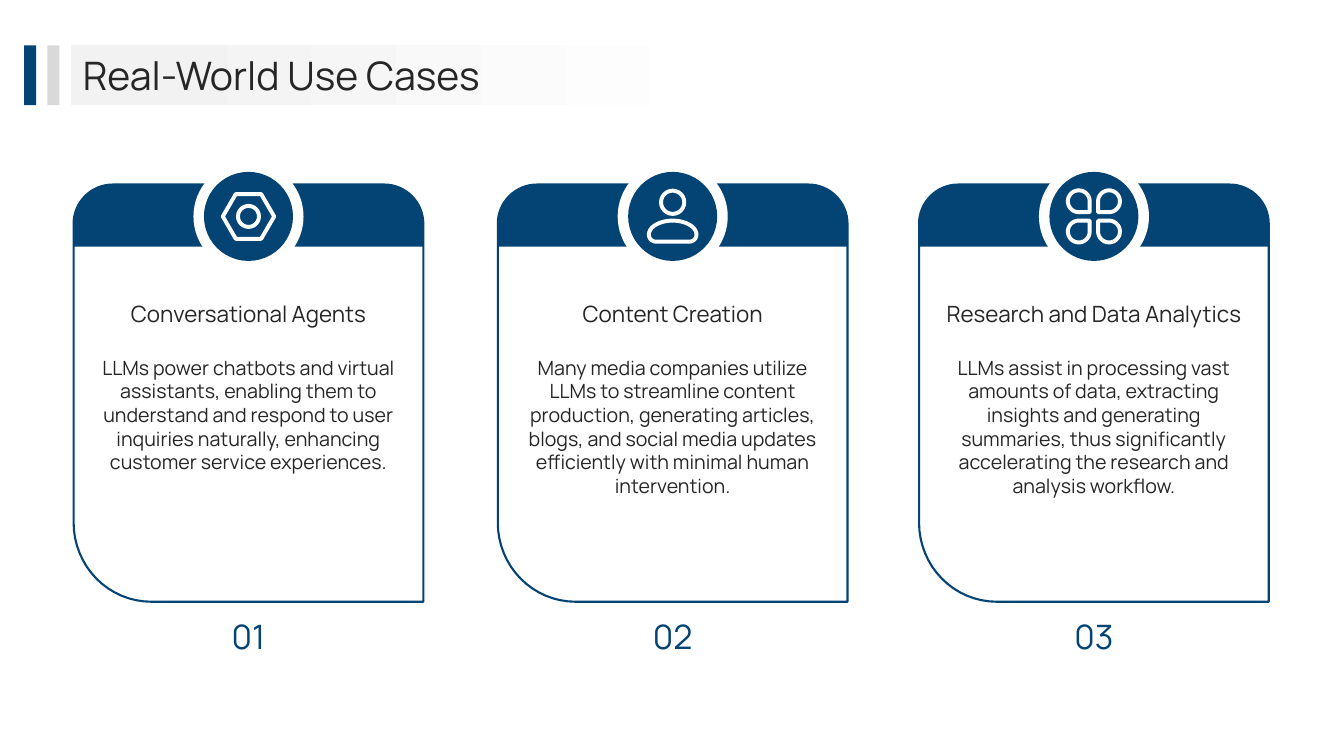
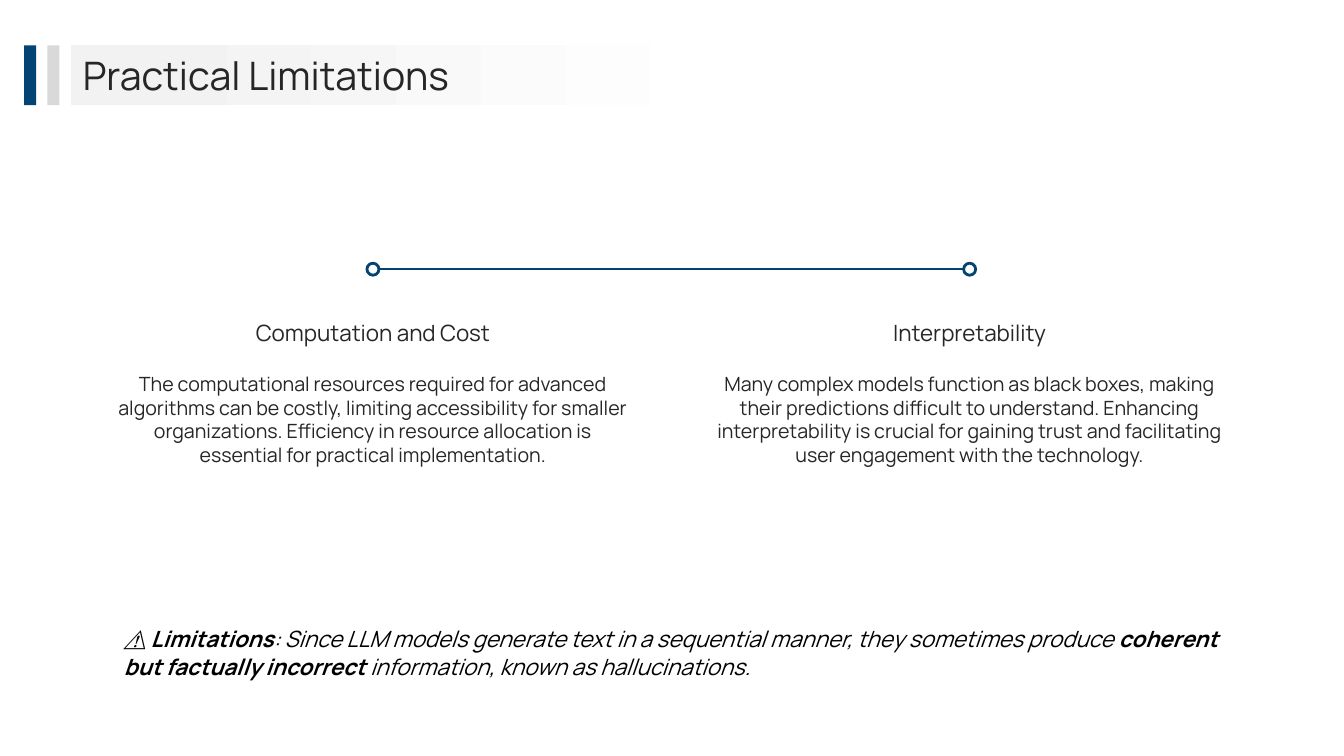
from math import cos, radians, sin

from lxml.etree import SubElement
from pptx import Presentation
from pptx.dml.color import RGBColor
from pptx.enum.shapes import MSO_CONNECTOR, MSO_SHAPE
from pptx.enum.text import MSO_ANCHOR, MSO_AUTO_SIZE, PP_ALIGN
from pptx.oxml.ns import qn
from pptx.util import Pt


def color(value):
    return RGBColor.from_string(value)


def write(paragraph, text, size=14, ink="262626", font="Manrope", bold=False, italic=False):
    span = paragraph.add_run()
    span.text = text
    span.font.name = font
    span.font.size = Pt(size)
    span.font.bold = bold
    span.font.italic = italic
    span.font.color.rgb = color(ink)


def corner_points(left, top, width, height, radii):
    right, bottom = left + width, top + height
    corners = [(left, top, 1, 1), (right, top, -1, 1),
               (right, bottom, -1, -1), (left, bottom, 1, -1)]
    points = []
    for index, ((x, y, x_sign, y_sign), (rx, ry)) in enumerate(zip(corners, radii)):
        steps = 16 if rx else 0
        for step in range(steps + 1):
            angle = radians(180 + 90 * index + (90 * step / steps if steps else 0))
            points.append((Pt(x + x_sign * rx + rx * cos(angle)),
                           Pt(y + y_sign * ry + ry * sin(angle))))
    return points


class Deck:
    NAVY = "044475"
    WHITE = "FFFFFF"
    SILVER = "D9D9D9"
    MIST = "F2F2F2"
    BLACK = "000000"
    ICON_WIDTH = 2.8

    def __init__(self):
        self.deck = Presentation()
        self.deck.slide_width, self.deck.slide_height = Pt(960), Pt(540)
        self.page = None

    def add_page(self, title):
        self.page = self.deck.slides.add_slide(self.deck.slide_layouts[6])
        band = self.shape(MSO_SHAPE.RECTANGLE, 50.4, 32.4, 510.5, 42.8)
        band.fill.gradient()
        band.fill.gradient_angle = 0
        for stop, position, tint in zip(band.fill.gradient_stops, (0.1, 0.93),
                                        (self.MIST, self.WHITE)):
            stop.position = position
            stop.color.rgb = color(tint)
        self.text(title, 59.2, 35.3, 848, 36.7, size=28,
                  align=PP_ALIGN.LEFT, anchor=MSO_ANCHOR.MIDDLE)
        for left, fill in ((17.3, self.NAVY), (33.8, self.SILVER)):
            self.shape(MSO_SHAPE.RECTANGLE, left, 32.4, 8.6, 42.8, fill=fill)

    def paint(self, shape, fill=None, line=None, line_width=1):
        shape.shadow.inherit = False
        if fill:
            shape.fill.solid()
            shape.fill.fore_color.rgb = color(fill)
        else:
            shape.fill.background()
        if line:
            shape.line.color.rgb = color(line)
            shape.line.width = Pt(line_width)
        else:
            shape.line.fill.background()
        return shape

    def shape(self, kind, left, top, width, height, **look):
        shape = self.page.shapes.add_shape(kind, Pt(left), Pt(top), Pt(width), Pt(height))
        return self.paint(shape, **look)

    def centered(self, kind, x, y, width, height, **look):
        return self.shape(kind, x - width / 2, y - height / 2, width, height, **look)

    def outline(self, left, top, width, height, radii, **look):
        points = corner_points(left, top, width, height, radii)
        builder = self.page.shapes.build_freeform(*points[0])
        builder.add_line_segments(points[1:], close=True)
        return self.paint(builder.convert_to_shape(), **look)

    def box(self, left, top, width, height, align=PP_ALIGN.CENTER,
            anchor=MSO_ANCHOR.TOP, inset=True):
        frame = self.page.shapes.add_textbox(
            Pt(left), Pt(top), Pt(width), Pt(height)).text_frame
        frame.word_wrap = True
        frame.vertical_anchor = anchor
        if inset:
            frame.auto_size = MSO_AUTO_SIZE.SHAPE_TO_FIT_TEXT
        else:
            frame.margin_left = frame.margin_right = Pt(0)
            frame.margin_top = frame.margin_bottom = Pt(0)
        paragraph = frame.paragraphs[0]
        paragraph.alignment = align
        return paragraph

    def text(self, text, left, top, width, height, align=PP_ALIGN.CENTER,
             anchor=MSO_ANCHOR.TOP, inset=False, **style):
        write(self.box(left, top, width, height, align, anchor, inset), text, **style)

    def topic(self, x, top, width, heading, body, heading_height, body_top, body_height):
        left = x - width / 2
        self.text(heading, left, top, width, heading_height, size=16,
                  anchor=MSO_ANCHOR.MIDDLE)
        self.text(body, left, body_top, width, body_height)

    def line(self, start_x, start_y, end_x, end_y):
        line = self.page.shapes.add_connector(
            MSO_CONNECTOR.STRAIGHT, Pt(start_x), Pt(start_y), Pt(end_x), Pt(end_y))
        line.line.color.rgb = color(self.NAVY)
        line.line.width = Pt(1)
        SubElement(line._element.spPr, qn("a:effectLst"))

    def gear_icon(self, x, y):
        stroke = {"line": self.WHITE, "line_width": self.ICON_WIDTH}
        nut = self.centered(MSO_SHAPE.HEXAGON, x, y, 36.7, 32, **stroke)
        nut.adjustments[0] = 0.29
        self.centered(MSO_SHAPE.OVAL, x, y, 15, 15, **stroke)

    def person_icon(self, x, y):
        stroke = {"line": self.WHITE, "line_width": self.ICON_WIDTH}
        self.centered(MSO_SHAPE.OVAL, x, y - 10.1, 16.6, 16.6, **stroke)
        self.outline(x - 17, y + 3, 34, 15,
                     [(17, 10), (17, 10), (5, 5), (5, 5)], **stroke)

    def petals_icon(self, x, y):
        size, offset = 15.6, 10.8
        for index, (x_sign, y_sign) in enumerate([(-1, -1), (1, -1), (1, 1), (-1, 1)]):
            radii = [(size / 2, size / 2)] * 4
            radii[(index + 2) % 4] = (0, 0)
            self.outline(x + x_sign * offset - size / 2, y + y_sign * offset - size / 2,
                         size, size, radii, line=self.WHITE, line_width=self.ICON_WIDTH)

    def card(self, x, number, heading, body, icon):
        width, top, badge_y = 249.8, 131.8, 154.6
        left = x - width / 2
        round_top, square = [(28, 28)] * 2, (0, 0)
        self.outline(left, top, width, 298, round_top + [square, (55.5, 56.5)],
                     fill=self.WHITE, line=self.NAVY, line_width=1.5)
        self.outline(left, top, width, 44.3, round_top + [square] * 2, fill=self.NAVY)
        for size, fill in ((78.6, self.WHITE), (63.6, self.NAVY)):
            self.centered(MSO_SHAPE.OVAL, x, badge_y, size, size, fill=fill)
        icon(x, badge_y)
        self.topic(x, 196.6, 216, heading, body, 55.4, 254.2, 165.6)
        self.text(number, x - 40.3, 436.3, 80.6, 33.1, inset=True, size=24, ink=self.NAVY)


def build_use_cases(deck):
    deck.add_page("Real-World Use Cases")
    cards = [
        (177.5, "Conversational Agents",
         "LLMs power chatbots and virtual assistants, enabling them to understand and "
         "respond to user inquiries naturally, enhancing customer service experiences.",
         deck.gear_icon),
        (480.5, "Content Creation",
         "Many media companies utilize LLMs to streamline content production, generating "
         "articles, blogs, and social media updates efficiently with minimal human "
         "intervention.", deck.person_icon),
        (781.4, "Research and Data Analytics",
         "LLMs assist in processing vast amounts of data, extracting insights and "
         "generating summaries, thus significantly accelerating the research and "
         "analysis workflow.", deck.petals_icon),
    ]
    for number, (x, heading, body, icon) in enumerate(cards, 1):
        deck.card(x, f"{number:02}", heading, body, icon)


def build_limitations(deck):
    deck.add_page("Practical Limitations")
    topics = [
        (266.4, "Computation and Cost",
         "The computational resources required for advanced algorithms can be costly, "
         "limiting accessibility for smaller organizations. Efficiency in resource "
         "allocation is essential for practical implementation."),
        (692.6, "Interpretability",
         "Many complex models function as black boxes, making their predictions difficult "
         "to understand. Enhancing interpretability is crucial for gaining trust and "
         "facilitating user engagement with the technology."),
    ]
    line_y = 192.3
    deck.line(topics[0][0], line_y, topics[1][0], line_y)
    for x, heading, body in topics:
        deck.centered(MSO_SHAPE.OVAL, x, line_y, 8.6, 8.6,
                      fill=deck.WHITE, line=deck.NAVY, line_width=2)
        deck.topic(x, 208.8, 371.5, heading, body, 56.9, 265.7, 118)

    note = deck.box(81.4, 441.4, 803.5, 48.2, align=PP_ALIGN.LEFT)
    note.line_spacing = 1.07
    note.space_after = Pt(8)
    for text, bold in [
        ("⚠️ ", False),
        ("Limitations", True),
        (": Since LLM models generate text in a sequential manner, they sometimes produce ",
         False),
        ("coherent but factually incorrect", True),
        (" information, known as hallucinations.", False),
    ]:
        write(note, text, size=16, ink=deck.BLACK, bold=bold, italic=True)


def main():
    deck = Deck()
    build_use_cases(deck)
    build_limitations(deck)
    deck.deck.save("out.pptx")


if __name__ == "__main__":
    main()
